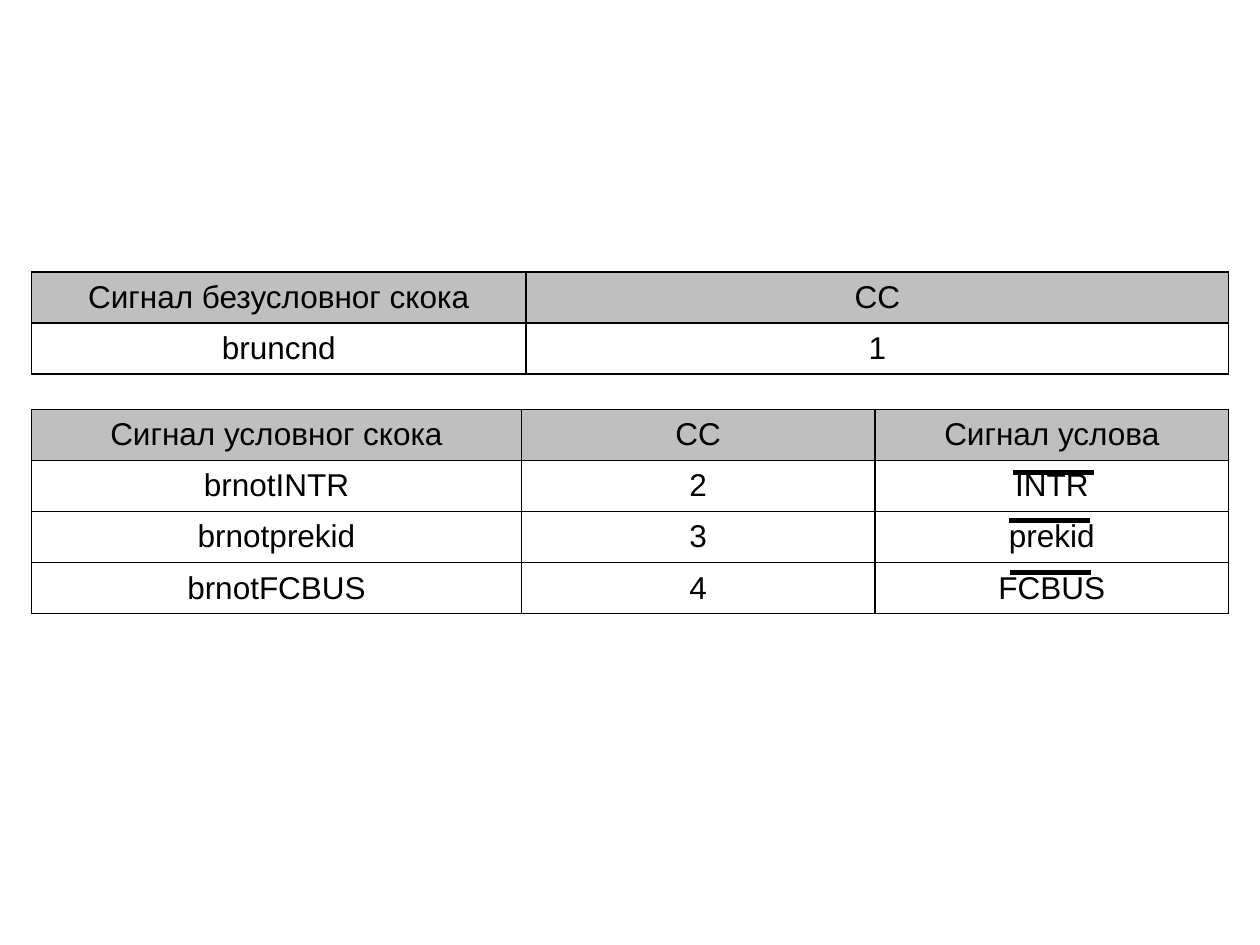
from lxml.etree import SubElement
from pptx import Presentation
from pptx.dml.color import RGBColor
from pptx.enum.shapes import MSO_CONNECTOR
from pptx.enum.text import MSO_ANCHOR, PP_ALIGN
from pptx.oxml.ns import qn
from pptx.util import Cm, Pt

# Content: top, column widths (cm) and rows of each table
TABLES = [
    (5.48, [9.96, 14.17], [
        ("Сигнал безусловног скока", "CC"),
        ("bruncnd", "1"),
    ]),
    (8.25, [9.87, 7.13, 7.13], [
        ("Сигнал условног скока", "CC", "Сигнал услова"),
        ("brnotINTR", "2", "INTR"),
        ("brnotprekid", "3", "prekid"),
        ("brnotFCBUS", "4", "FCBUS"),
    ]),
]
# Negation bars over the condition signals: left, y (cm)
BARS = [(20.42, 9.52), (20.35, 10.49), (20.37, 11.54)]
COLORS = {"ink": "000000", "header": "BFBFBF"}
LEFT, ROW_HEIGHT, BAR_LENGTH = 0.64, 1.03, 1.63


def rgb(name):
    return RGBColor.from_string(COLORS[name])


def add_borders(cell):
    tc_pr = cell._tc.get_or_add_tcPr()
    for i, side in enumerate(("a:lnL", "a:lnR", "a:lnT", "a:lnB")):
        ln = SubElement(tc_pr, qn(side), w=str(Pt(1)))
        fill = SubElement(ln, qn("a:solidFill"))
        SubElement(fill, qn("a:srgbClr"), val=COLORS["ink"])
        tc_pr.insert(i, ln)


def format_cell(cell, text, is_header):
    cell.text = text
    cell.vertical_anchor = MSO_ANCHOR.MIDDLE
    if is_header:
        cell.fill.solid()
        cell.fill.fore_color.rgb = rgb("header")
    else:
        cell.fill.background()
    p = cell.text_frame.paragraphs[0]
    p.alignment = PP_ALIGN.CENTER
    p.font.name, p.font.size, p.font.bold = "Arial", Pt(18), False
    p.font.color.rgb = rgb("ink")
    add_borders(cell)


def add_signal_table(s, top, widths, rows):
    table = s.shapes.add_table(
        len(rows), len(widths), Cm(LEFT), Cm(top),
        Cm(sum(widths)), Cm(ROW_HEIGHT * len(rows))).table
    table.horz_banding = False
    for column, width in zip(table.columns, widths):
        column.width = Cm(width)
    for i, row in enumerate(rows):
        table.rows[i].height = Cm(ROW_HEIGHT)
        for j, text in enumerate(row):
            format_cell(table.cell(i, j), text, i == 0)


def add_bar(s, left, y):
    bar = s.shapes.add_connector(
        MSO_CONNECTOR.STRAIGHT, Cm(left), Cm(y), Cm(left + BAR_LENGTH), Cm(y))
    bar.line.color.rgb = rgb("ink")
    bar.line.width = Pt(3)
    SubElement(bar._element.spPr, qn("a:effectLst"))


# Slide
prs = Presentation()
prs.slide_width, prs.slide_height = Cm(25.4), Cm(19.05)
s = prs.slides.add_slide(prs.slide_layouts[6])

# Tables and negation bars
for top, widths, rows in TABLES:
    add_signal_table(s, top, widths, rows)
for left, y in BARS:
    add_bar(s, left, y)

prs.save("out.pptx")
